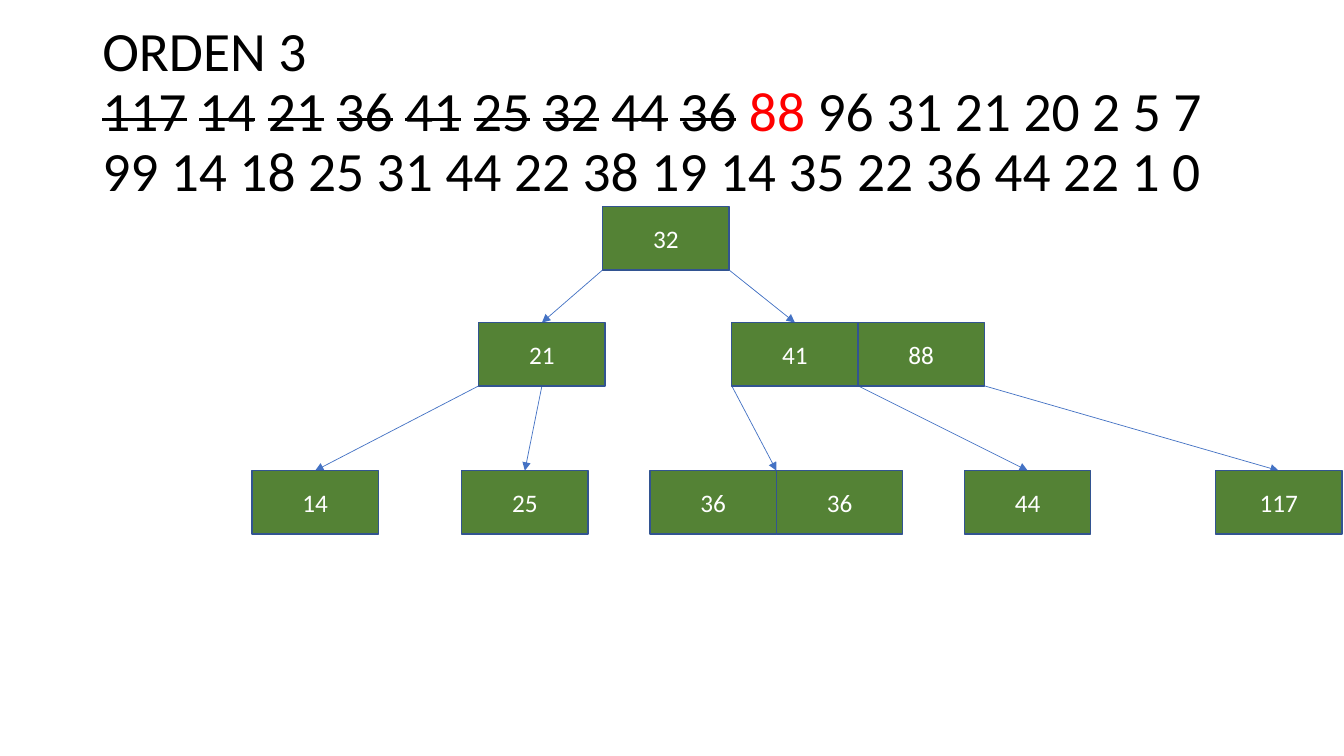
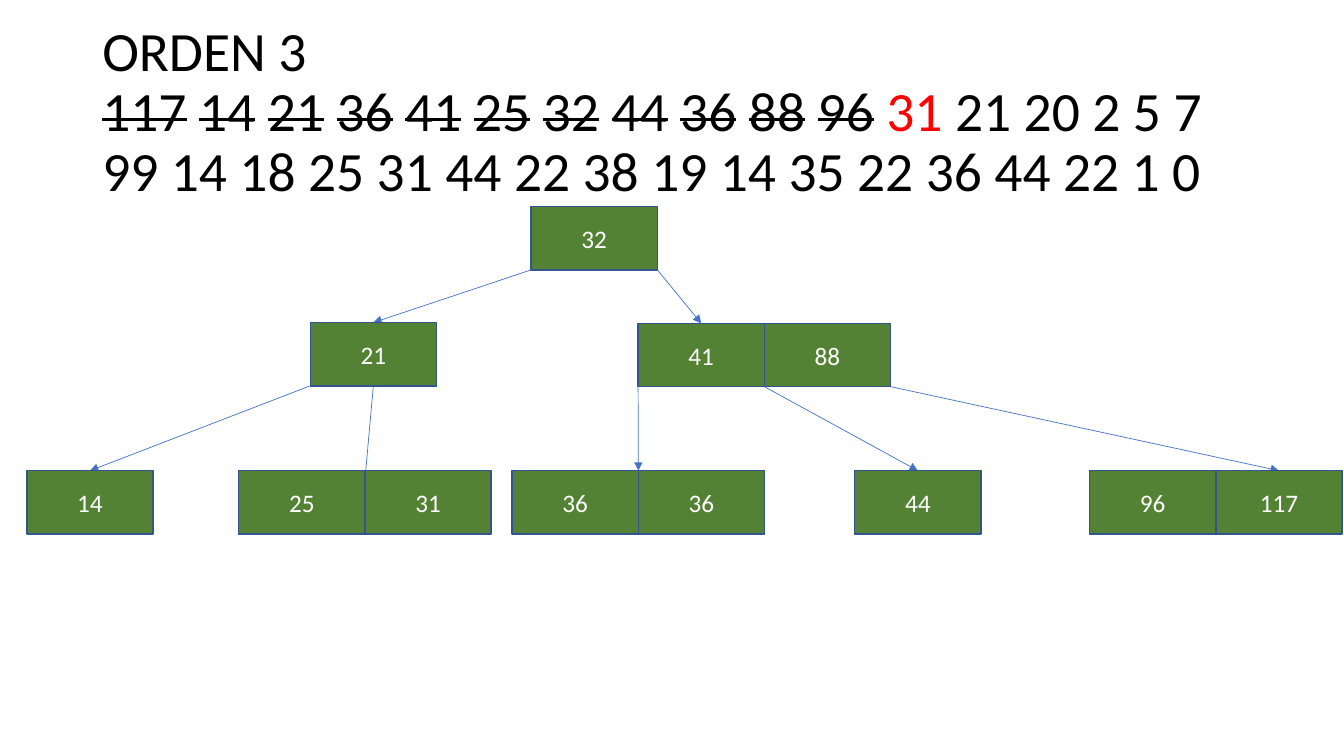
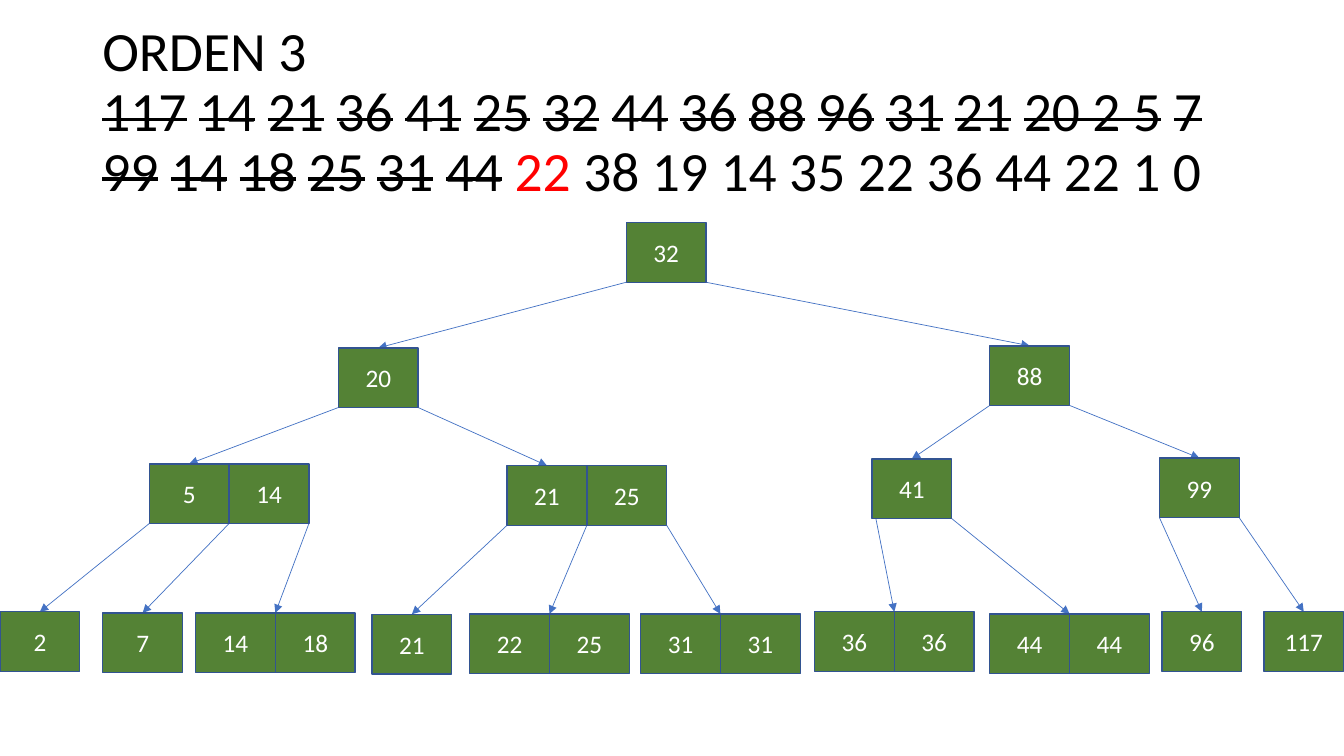
from dataclasses import dataclass

from lxml import etree
from pptx import Presentation
from pptx.dml.color import RGBColor
from pptx.enum.shapes import MSO_CONNECTOR as CONNECTOR, MSO_SHAPE as SHAPE
from pptx.enum.text import MSO_ANCHOR as ANCHOR, PP_ALIGN as ALIGN
from pptx.oxml.ns import qn
from pptx.util import Pt

# Shared style
FONT = "Calibri"
BLACK = RGBColor(0x00, 0x00, 0x00)
WHITE = RGBColor(0xFF, 0xFF, 0xFF)
RED = RGBColor(0xFF, 0x00, 0x00)
GREEN = RGBColor(0x54, 0x82, 0x35)
BORDER = RGBColor(0x32, 0x54, 0x91)
ARROW = RGBColor(0x44, 0x72, 0xC4)

KEYS = ("117 14 21 36 41 25 32 44 36 88 96 31 21 20 2 5 7 99 14 18 25 31 "
        "44 22 38 19 14 35 22 36 44 22 1 0").split()


@dataclass
class Node:
    """Tree node; start and end count key widths along parent and node."""
    keys: str
    left: float
    top: float
    children: tuple = ()
    start: float = None
    end: float = None


# Text
def add_text(paragraph, text, size=18, color=BLACK, strike=False):
    run = paragraph.add_run()
    run.text = text
    run.font.name = FONT
    run.font.size = Pt(size)
    run.font.color.rgb = color
    if strike:
        run.font._element.set("strike", "sngStrike")


def add_title(slide, current, joined=()):
    """List the keys: those before current struck, current itself in red."""
    box = slide.shapes.add_textbox(Pt(66), Pt(28.8), Pt(828), Pt(104.4))
    frame = box.text_frame
    frame.word_wrap = True
    frame.vertical_anchor = ANCHOR.MIDDLE
    paragraph = frame.paragraphs[0]
    paragraph.line_spacing = 0.9
    size = 39.6
    add_text(paragraph, "ORDEN 3", size)
    paragraph.add_line_break()
    for index, key in enumerate(KEYS[:current]):
        add_text(paragraph, key, size, strike=True)
        add_text(paragraph, " ", size, strike=index in joined)
    add_text(paragraph, KEYS[current], size, RED)
    add_text(paragraph, " " + " ".join(KEYS[current + 1:]), size)


# Tree parts
def add_key(slide, key, left, top, width, height):
    shape = slide.shapes.add_shape(
        SHAPE.RECTANGLE, Pt(left), Pt(top), Pt(width), Pt(height))
    shape.shadow.inherit = False
    shape.fill.solid()
    shape.fill.fore_color.rgb = GREEN
    shape.line.color.rgb = BORDER
    shape.line.width = Pt(1)
    shape.text_frame.vertical_anchor = ANCHOR.MIDDLE
    paragraph = shape.text_frame.paragraphs[0]
    paragraph.alignment = ALIGN.CENTER
    add_text(paragraph, key, color=WHITE)


def add_arrow(slide, x1, y1, x2, y2):
    arrow = slide.shapes.add_connector(
        CONNECTOR.STRAIGHT, Pt(x1), Pt(y1), Pt(x2), Pt(y2))
    arrow.line.color.rgb = ARROW
    arrow.line.width = Pt(0.5)
    etree.SubElement(arrow.line._get_or_add_ln(), qn("a:tailEnd"), type="triangle")
    etree.SubElement(arrow._element.spPr, qn("a:effectLst"))


def add_tree(slide, node, width, height, sunk=None):
    """Draw a node and its subtree; the arrow to the sunk keys ends inside."""
    for index, child in enumerate(node.children):
        start = index if child.start is None else child.start
        end = len(child.keys.split()) / 2 if child.end is None else child.end
        depth = 6.5 if child.keys == sunk else 0
        add_arrow(slide, node.left + start * width, node.top + height,
                  child.left + end * width, child.top + depth)
        add_tree(slide, child, width, height, sunk)
    for index, key in enumerate(node.keys.split()):
        add_key(slide, key, node.left + index * width, node.top, width, height)


# Trees
TREE_88 = Node("32", 430.5, 147.6, (
    Node("21", 342, 230.4, (
        Node("14", 180, 336.2),
        Node("25", 329.8, 336.2, start=0.5))),
    Node("41 88", 522.7, 230.4, (
        Node("36 36", 464.4, 336.2),
        Node("44", 689, 336.2),
        Node("117", 868.3, 336.2)), end=0.5)))

TREE_31 = Node("32", 379.4, 147.6, (
    Node("21", 221.6, 230.4, (
        Node("14", 19.2, 336.2),
        Node("25 31", 170.5, 336.2, start=0.5))),
    Node("41 88", 455.8, 231, (
        Node("36 36", 365.8, 336.2),
        Node("44", 610.5, 336.2),
        Node("96 117", 778.3, 336.2, end=1.5)), end=0.5)))

TREE_22 = Node("32", 447.3, 159, (
    Node("20", 241.7, 248.5, (
        Node("5 14", 106.7, 331.3, (
            Node("2", 0, 437),
            Node("7", 73.4, 437.8),
            Node("14 18", 139.7, 437.8)), end=0.5),
        Node("21 25", 362.2, 332.6, (
            Node("21", 265.7, 438.8),
            Node("22 25", 335.5, 438.5),
            Node("31 31", 457.6, 438.5)), end=0.5))),
    Node("88", 707, 247, (
        Node("41", 622.8, 327.8, (
            Node("36 36", 581.8, 437, start=0.05),
            Node("44 44", 707, 438.5))),
        Node("99", 828.2, 327.2, (
            Node("96", 830, 437),
            Node("117", 902.8, 437)))))))


def main():
    presentation = Presentation()
    presentation.slide_width, presentation.slide_height = Pt(960), Pt(540)
    steps = (
        (9, (), TREE_88, 90.2, 45.2, None),
        (11, (), TREE_31, 90.2, 45.2, "25 31"),
        (23, (13, 14), TREE_22, 57, 42.6, None),
    )
    for current, joined, tree, width, height, sunk in steps:
        slide = presentation.slides.add_slide(presentation.slide_layouts[6])
        add_title(slide, current, joined)
        add_tree(slide, tree, width, height, sunk)
    presentation.save("out.pptx")


if __name__ == "__main__":
    main()
